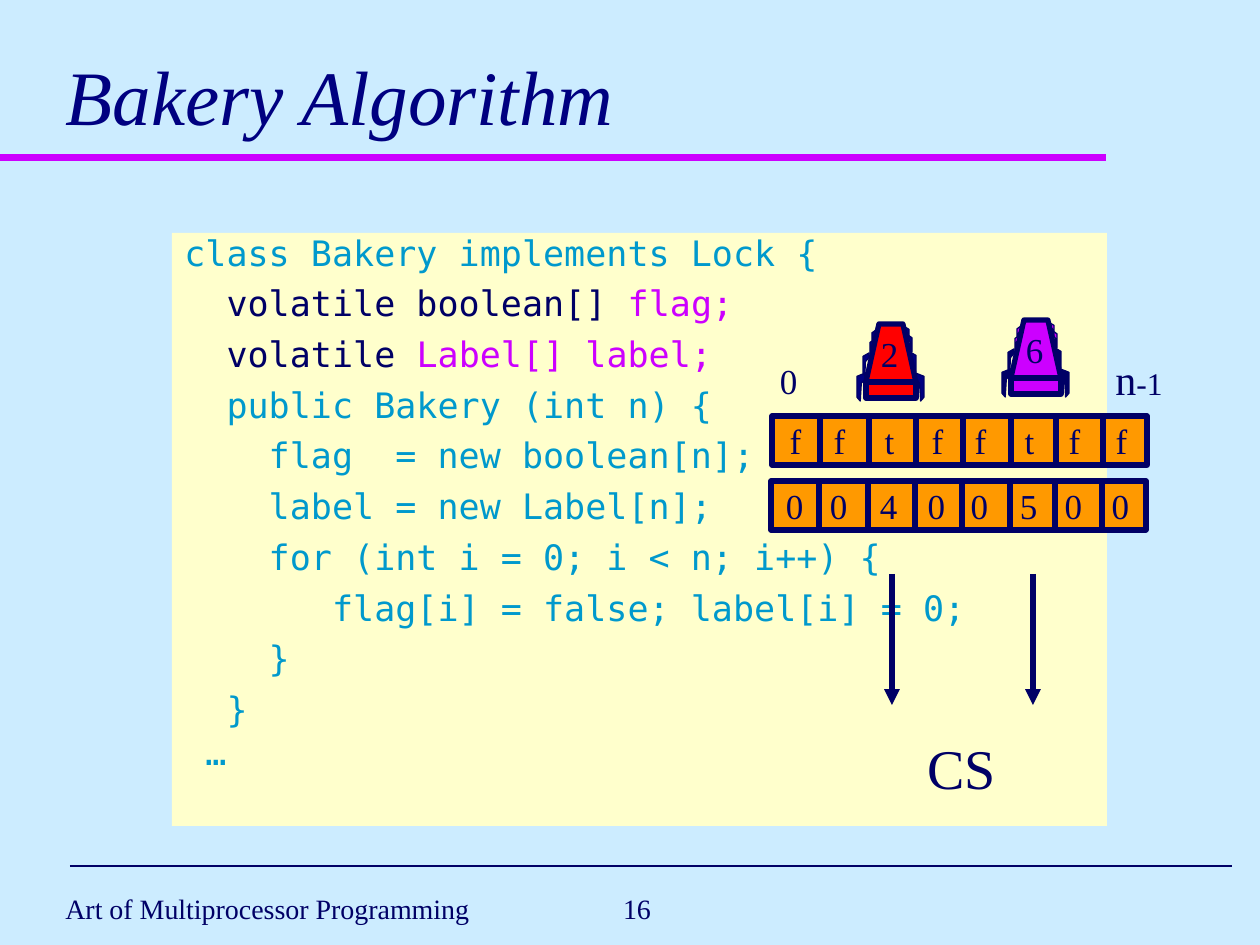
"""Build the Bakery Algorithm slide."""
from dataclasses import dataclass

from lxml.etree import SubElement
from pptx import Presentation
from pptx.dml.color import RGBColor
from pptx.enum.shapes import MSO_CONNECTOR, MSO_SHAPE
from pptx.enum.text import MSO_ANCHOR as Anchor, MSO_AUTO_SIZE, PP_ALIGN as Align
from pptx.oxml.ns import qn
from pptx.util import Pt

EMU_PER_PX = 914400 / 126


@dataclass(frozen=True)
class Theme:
    """Colours, fonts and type sizes of the slide."""
    background: str = "CCECFF"
    ink: str = "000066"
    title: str = "000080"
    accent: str = "CC00FF"
    code: str = "0099CC"
    code_panel: str = "FFFFCC"
    cell: str = "FF9900"
    red: str = "FF0000"
    serif: str = "Times New Roman"
    mono: str = "DejaVu Sans Mono"
    title_size: int = 44
    section_size: int = 32
    large_size: int = 24
    body_size: int = 20
    small_size: int = 18
    footer_size: int = 16


THEME = Theme()
CODE_LINES = (
    (("class Bakery implements Lock {", THEME.code),),
    (("  volatile boolean[] ", THEME.ink), ("flag;", THEME.accent)),
    (("  volatile ", THEME.ink), ("Label[] label;", THEME.accent)),
    (("  public Bakery (int n) {", THEME.code),),
    (("    flag  = new boolean[n];", THEME.code),),
    (("    label = new Label[n];", THEME.code),),
    (("    for (int i = 0; i < n; i++) {", THEME.code),),
    (("       flag[i] = false; label[i] = 0;", THEME.code),),
    (("    }", THEME.code),),
    (("  }", THEME.code),),
    ((" …", THEME.code),),
)
DIVIDERS = (48, 97, 144, 191, 239, 284, 331)
CELL_CENTRES = (24, 68, 118, 166, 209, 258, 303, 350)
LOWER_FINS = ((47, 48, 11, 29, False), (44, 28, 6, 23, False),
              (-9, 48, 11, 29, True), (-3, 29, 6, 23, True))
UPPER_FINS = ((42, 11, 4, 19, False), (39, 3, 4, 16, False),
              (6, 6, 4, 19, True), (4, 16, 4, 16, True))
FIN_OUTLINE = ((0, 0), (1, 0.15), (1, 0.87), (0.7, 1), (0.6, 0.38), (0, 0.2))


def px(value):
    """Turn pixels into EMU."""
    return round(value * EMU_PER_PX)


def rgb(colour):
    """Turn a hex string into a colour."""
    return RGBColor.from_string(colour)


def style_font(font, size, colour=THEME.ink, name=THEME.serif):
    """Set size, colour and typeface of a font."""
    font.size, font.name = Pt(size), name
    font.color.rgb = rgb(colour)


def paint(shape, fill, line=None, width=0.75):
    """Give a shape a flat fill and an optional outline."""
    shape.shadow.inherit = False
    shape.fill.solid()
    shape.fill.fore_color.rgb = rgb(fill)
    if line is None:
        shape.line.fill.background()
    else:
        shape.line.color.rgb = rgb(line)
        shape.line.width = Pt(width)


def add_box(slide, left, top, width, height, fill, line=None):
    """Add a filled rectangle."""
    box = slide.shapes.add_shape(
        MSO_SHAPE.RECTANGLE, px(left), px(top), px(width), px(height))
    paint(box, fill, line, 3)
    return box


def add_polygon(slide, points, fill, width):
    """Add a closed outline through points given in px."""
    corners = [(px(x), px(y)) for x, y in points]
    builder = slide.shapes.build_freeform(*corners[0], scale=1.0)
    builder.add_line_segments(corners[1:], close=True)
    paint(builder.convert_to_shape(), fill, THEME.ink, width)


def add_line(slide, start, end, colour=THEME.ink, width=3, arrow=False):
    """Add a straight line, optionally ending in an arrowhead."""
    line = slide.shapes.add_connector(
        MSO_CONNECTOR.STRAIGHT, *map(px, start), *map(px, end))
    line.line.color.rgb = rgb(colour)
    line.line.width = Pt(width)
    if arrow:
        SubElement(line.line._get_or_add_ln(), qn("a:tailEnd"), type="triangle")
    SubElement(line._element.spPr, qn("a:effectLst"))


def add_label(slide, left, top, width, height, runs, align=Align.CENTER,
              anchor=Anchor.TOP):
    """Add an unwrapped label made of (text, size) runs."""
    box = slide.shapes.add_textbox(px(left), px(top), px(width), px(height))
    frame = box.text_frame
    frame.word_wrap = False
    frame.vertical_anchor = anchor
    paragraph = frame.paragraphs[0]
    paragraph.alignment = align
    for text, size in runs:
        run = paragraph.add_run()
        run.text = text
        style_font(run.font, size)


def add_digit(slide, centre, top, text):
    """Add a body-size character centred on an x position."""
    add_label(slide, centre - 22, top, 43, 55, [(text, THEME.body_size)])


def add_title(slide, text):
    """Place and format the title placeholder."""
    title = slide.shapes.title
    title.left, title.top, title.width, title.height = map(px, (53, 21, 1166, 126))
    frame = title.text_frame
    frame.text = text
    frame.auto_size = MSO_AUTO_SIZE.NONE
    frame.vertical_anchor = Anchor.BOTTOM
    paragraph = frame.paragraphs[0]
    paragraph.alignment = Align.LEFT
    font = paragraph.runs[0].font
    style_font(font, THEME.title_size, THEME.title)
    font.italic = True


def add_code(slide):
    """Add the code panel with coloured runs."""
    frame = add_box(slide, 172, 233, 935, 593, THEME.code_panel).text_frame
    frame.word_wrap = True
    frame.vertical_anchor = Anchor.TOP
    for index, runs in enumerate(CODE_LINES):
        paragraph = frame.add_paragraph() if index else frame.paragraphs[0]
        paragraph.alignment = Align.LEFT
        if index:
            paragraph.space_before = Pt(5)
        if index in (0, len(CODE_LINES) - 1):
            paragraph.line_spacing = 0.8
        for text, colour in runs:
            run = paragraph.add_run()
            run.text = text
            style_font(run.font, THEME.body_size, colour, THEME.mono)


def add_array(slide, left, top, values):
    """Add a row of cells with one value in each."""
    height = 49
    add_box(slide, left, top, 375, height, THEME.cell, THEME.ink)
    for offset in DIVIDERS:
        add_line(slide, (left + offset, top), (left + offset, top + height))
    for offset, value in zip(CELL_CENTRES, values):
        add_digit(slide, left + offset, top - 3, value)


def add_thread(slide, left, top, number, fill, lower_fin, upper_fin):
    """Add a numbered thread: side fins, tapered body and base."""
    for fins, colour in ((LOWER_FINS, lower_fin), (UPPER_FINS, upper_fin)):
        for x, y, width, height, mirrored in fins:
            points = [(left + x + width * (1 - u if mirrored else u),
                       top + y + height * v) for u, v in FIN_OUTLINE]
            add_polygon(slide, points, colour, 0.75)
    body = ((0, 58), (13, 0), (37, 0), (50, 58))
    add_polygon(slide, [(left + x, top + y) for x, y in body], fill, 3)
    add_box(slide, left, top + 58, 50, 16, fill, THEME.ink)
    add_digit(slide, left + 24, top + 2, number)


def main():
    """Build and save the slide."""
    presentation = Presentation()
    presentation.slide_width, presentation.slide_height = px(1260), px(945)
    slide = presentation.slides.add_slide(presentation.slide_layouts[5])
    slide.background.fill.solid()
    slide.background.fill.fore_color.rgb = rgb(THEME.background)

    add_title(slide, "Bakery Algorithm")
    add_line(slide, (0, 158), (1106, 158), THEME.accent, 4)
    add_line(slide, (70, 866), (1232, 866), width=1)
    add_label(slide, 53, 882, 440, 53,
              [("Art of Multiprocessor Programming", THEME.footer_size)],
              Align.LEFT, Anchor.MIDDLE)
    add_label(slide, 387, 882, 500, 53, [("16", THEME.footer_size)],
              anchor=Anchor.MIDDLE)

    add_code(slide)
    add_digit(slide, 789, 353, "0")
    add_label(slide, 1098, 347, 82, 63,
              [("n", THEME.large_size), ("-1", THEME.small_size)])
    add_array(slide, 772, 416, "fftfftff")
    add_array(slide, 771, 481, "00400500")
    add_thread(slide, 866, 324, "2", THEME.red, THEME.title, THEME.title)
    add_thread(slide, 1011, 320, "6", THEME.accent, THEME.ink, THEME.accent)
    for x in (892, 1033):
        add_line(slide, (x, 574), (x, 705), arrow=True)
    add_label(slide, 902, 727, 120, 81, [("CS", THEME.section_size)])
    presentation.save("out.pptx")


if __name__ == "__main__":
    main()
